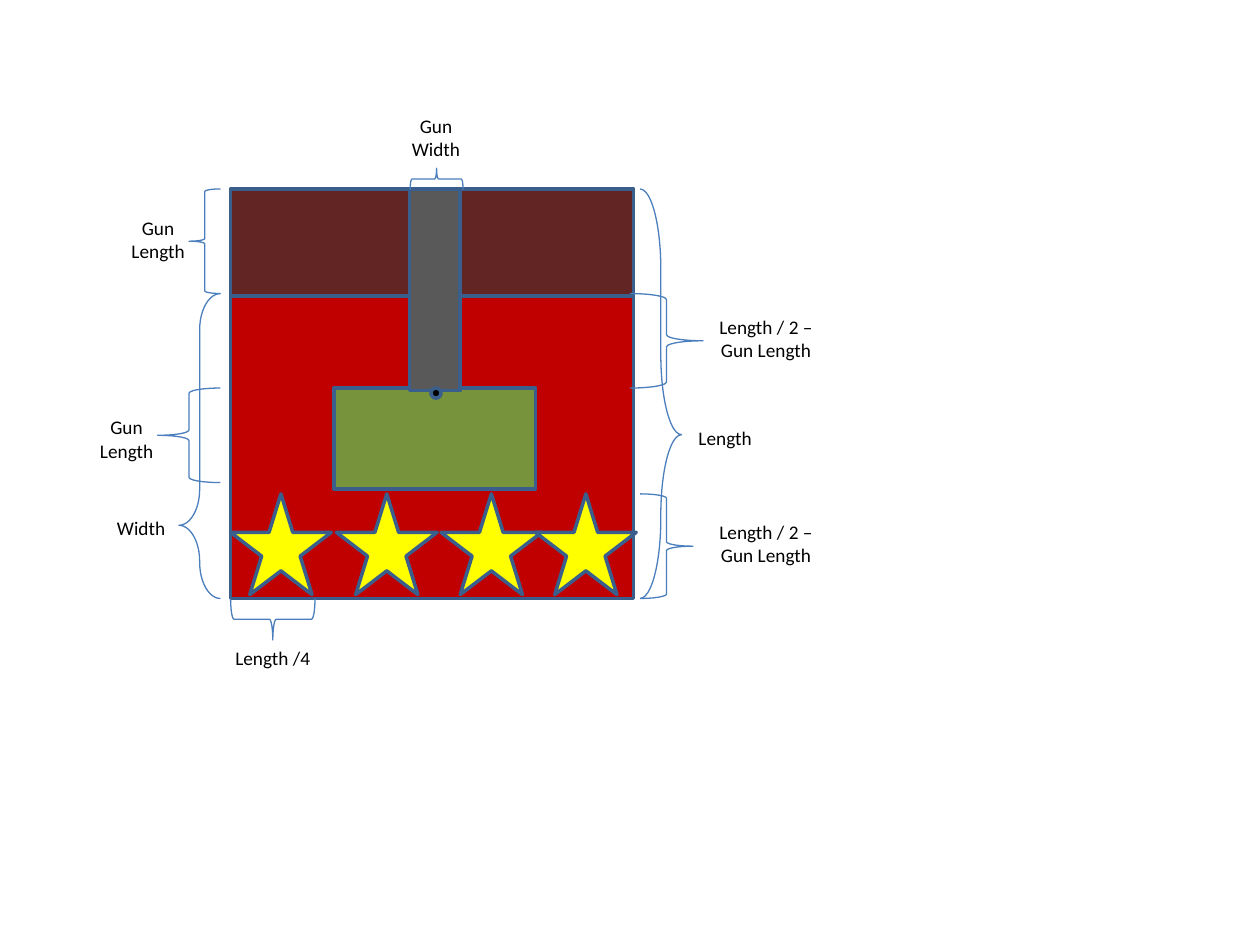
from pptx import Presentation
from pptx import util as u
from pptx.dml.color import RGBColor
from pptx.enum import shapes, text

PX = 9144  # 100 px to the inch
COLORS = {
    "back": "632523", "body": "C00000", "turret": "77933C", "gun": "595959",
    "star": "FFFF00", "pivot": "000000", "outline": "3A5F8C",
    "brace": "4B7EBC", "text": "000000",
}
M = shapes.MSO_SHAPE

prs = Presentation()
prs.slide_width, prs.slide_height = 1000 * PX, 750 * PX
s = prs.slides.add_slide(prs.slide_layouts[6])


def add_part(kind, box, fill):
    sp = s.shapes.add_shape(kind, *[v * PX for v in box])
    sp.shadow.inherit = False
    sp.fill.solid()
    sp.fill.fore_color.rgb = RGBColor.from_string(COLORS[fill])
    sp.line.color.rgb = RGBColor.from_string(COLORS["outline"])
    sp.line.width = u.Pt(2)


def add_brace(kind, box, rotation=0, adjustments=()):
    sp = s.shapes.add_shape(kind, *[v * PX for v in box])
    sp.shadow.inherit = False
    sp.fill.background()
    sp.line.color.rgb = RGBColor.from_string(COLORS["brace"])
    sp.line.width = u.Pt(0.75)
    sp.rotation = rotation
    for i, value in enumerate(adjustments):
        sp.adjustments[i] = value


# Tank
add_part(M.RECTANGLE, (183, 150, 320, 320), "back")
add_part(M.RECTANGLE, (183, 235, 320, 240), "body")
add_part(M.RECTANGLE, (265, 308, 160, 80), "turret")
add_part(M.RECTANGLE, (325, 150, 40, 160), "gun")

# Overall dimensions and gun width
add_brace(M.RIGHT_BRACE, (508, 150, 33, 325), adjustments=(1.93, 0.6))
add_brace(M.LEFT_BRACE, (142, 233, 33, 242), adjustments=(0.87, 0.76))
add_brace(M.RIGHT_BRACE, (338, 121, 17, 42), rotation=270)
add_brace(M.RIGHT_BRACE, (508, 392, 42, 83))

for x in (183, 267, 350, 425):
    add_part(M.STAR_5_POINT, (x, 392, 80, 80), "star")

# Dimensions of single parts
add_brace(M.LEFT_BRACE, (125, 308, 50, 75))
add_brace(M.LEFT_BRACE, (150, 150, 25, 83))
add_brace(M.RIGHT_BRACE, (200, 458, 33, 67), rotation=90)
add_brace(M.RIGHT_BRACE, (500, 233, 58, 75))

add_part(M.OVAL, (342, 308, 8, 8), "pivot")

labels = [
    ("Gun Width", 317, 86, 58, 47),
    ("Gun Length", 92, 167, 67, 47),
    ("Gun Length", 67, 325, 67, 47),
    ("Width", 83, 405, 58, 29),
    ("Length /4", 175, 508, 83, 29),
    ("Length / 2 – Gun Length", 558, 245, 100, 47),
    ("Length", 542, 333, 67, 29),
    ("Length / 2 – Gun Length", 558, 408, 100, 47),
]
for label, *box in labels:
    tf = s.shapes.add_textbox(*[v * PX for v in box]).text_frame
    tf.text = label
    tf.word_wrap = True
    tf.auto_size = text.MSO_AUTO_SIZE.SHAPE_TO_FIT_TEXT
    tf.margin_left = tf.margin_right = 5 * PX
    p = tf.paragraphs[0]
    p.alignment = text.PP_ALIGN.CENTER
    r = p.runs[0]
    r.font.name = "Calibri"
    r.font.size = u.Pt(11)
    r.font.color.rgb = RGBColor.from_string(COLORS["text"])

prs.save("out.pptx")
